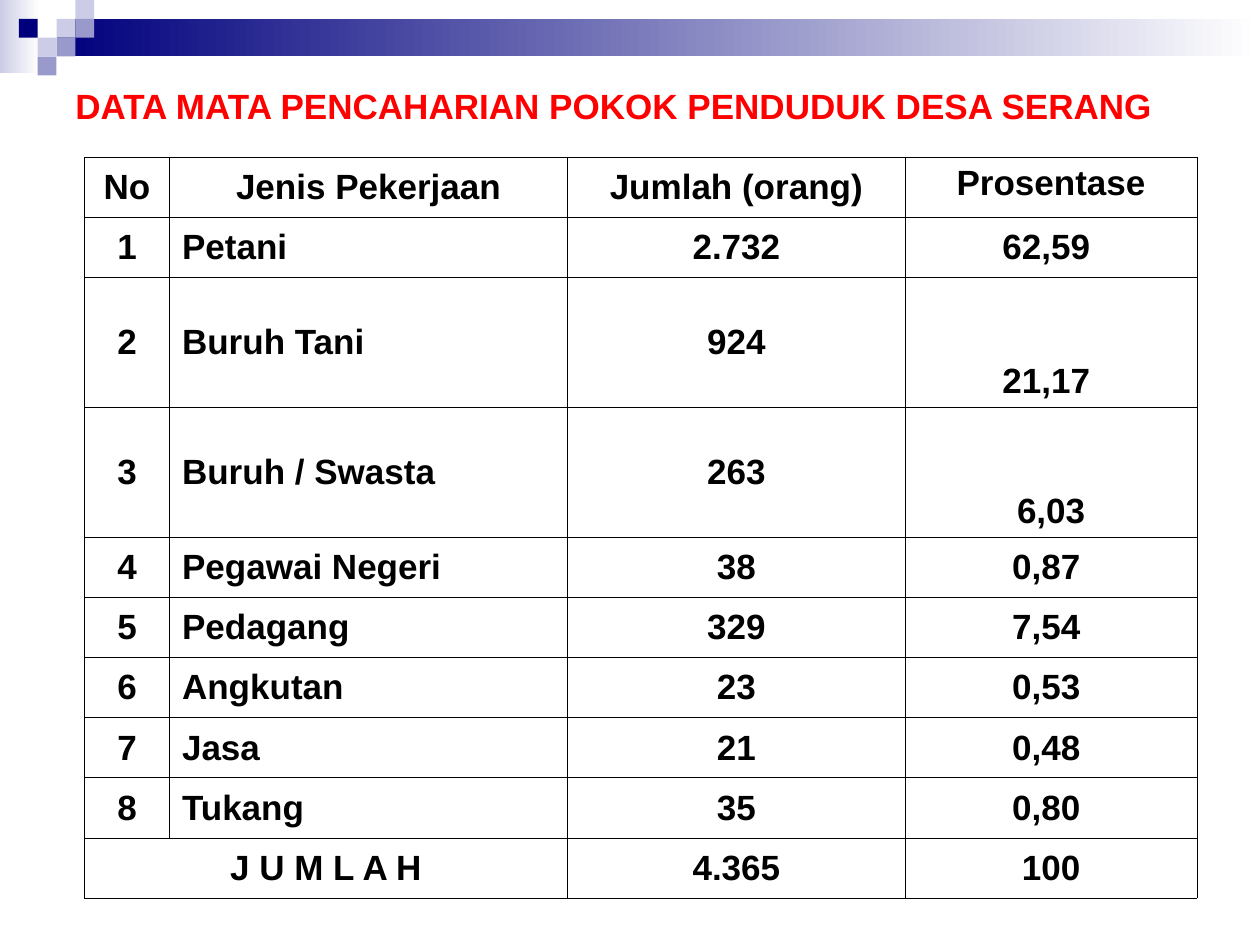
import pptx
import pptx.dml.color
import pptx.enum.shapes
import pptx.enum.text
import pptx.oxml
import pptx.oxml.ns
import pptx.util

Cm = pptx.util.Cm
Pt = pptx.util.Pt
Align = pptx.enum.text.PP_ALIGN
Anchor = pptx.enum.text.MSO_ANCHOR


class Theme:
    navy = "00007D"
    mid = "9999CC"
    pale = "CCCCE6"
    white = "FFFFFF"
    red = "FF0000"
    black = "000000"
    font = "Arial"
    size = 20
    rule = 0.45


class Deck:
    def __init__(self, theme, slide):
        self.theme = theme
        self.slide = slide

    def tint(self, code):
        return pptx.dml.color.RGBColor.from_string(code)

    def block(self, left, top, width, height, color, fade=None):
        shape = self.slide.shapes.add_shape(
            pptx.enum.shapes.MSO_SHAPE.RECTANGLE,
            Cm(left), Cm(top), Cm(width), Cm(height))
        shape.shadow.inherit = False
        shape.line.fill.background()
        if fade:
            shape.fill.gradient()
            shape.fill.gradient_angle = 0
            for stop, code in zip(shape.fill.gradient_stops, (color, fade)):
                stop.color.rgb = self.tint(code)
        else:
            shape.fill.solid()
            shape.fill.fore_color.rgb = self.tint(color)

    def label(self, frame, text, color, align):
        para = frame.paragraphs[0]
        para.text = text
        para.alignment = align
        para.font.name = self.theme.font
        para.font.size = Pt(self.theme.size)
        para.font.bold = True
        para.font.color.rgb = self.tint(color)

    def title(self, left, top, width, height, text):
        box = self.slide.shapes.add_textbox(
            Cm(left), Cm(top), Cm(width), Cm(height))
        box.text_frame.word_wrap = True
        box.text_frame.vertical_anchor = Anchor.MIDDLE
        self.label(box.text_frame, text, self.theme.red, Align.LEFT)

    def border(self, cell):
        props = cell._tc.get_or_add_tcPr()
        for index, side in enumerate(("lnL", "lnR", "lnT", "lnB")):
            props.insert(index, pptx.oxml.parse_xml(
                f'<a:{side} {pptx.oxml.ns.nsdecls("a")} w="{Pt(self.theme.rule)}">'
                f'<a:solidFill><a:srgbClr val="{self.theme.black}"/></a:solidFill>'
                f'</a:{side}>'))

    def cell(self, cell, text, align, anchor, inset):
        cell.fill.background()
        cell.margin_left = cell.margin_right = Cm(inset)
        cell.margin_top = cell.margin_bottom = Cm(0.13)
        cell.vertical_anchor = anchor
        self.label(cell.text_frame, text, self.theme.black, align)
        self.border(cell)

    def table(self, left, top, widths, heights, rows):
        table = self.slide.shapes.add_table(
            len(rows), len(widths), Cm(left), Cm(top),
            Cm(sum(widths)), Cm(sum(heights))).table
        table.first_row = table.horz_banding = False
        for col, width in zip(table.columns, widths):
            col.width = Cm(width)
        for row, height in zip(table.rows, heights):
            row.height = Cm(height)
        last = len(rows) - 1
        for r, row in enumerate(rows):
            for c, text in enumerate(row):
                head = r == 0
                name = c == 1 and 0 < r < last
                anchor = Anchor.MIDDLE
                if c == 3 and head:
                    anchor = Anchor.TOP
                elif c == 3 and heights[r] > min(heights):
                    anchor = Anchor.BOTTOM
                self.cell(table.cell(r, c), text,
                          Align.LEFT if name else Align.CENTER, anchor,
                          0.25 if head or c < 2 else 0.03)
        table.cell(last, 0).merge(table.cell(last, 1))


def main():
    show = pptx.Presentation()
    show.slide_width, show.slide_height = Cm(25.4), Cm(19.05)
    theme = Theme()
    deck = Deck(theme, show.slides.add_slide(show.slide_layouts[6]))

    deck.block(0, 0, 0.79, 1.48, theme.pale, theme.white)
    deck.block(1.14, 0.38, 24.26, 0.76, theme.navy, theme.white)
    step = 0.38
    tiles = [
        (3, 1, theme.pale), (4, 0, theme.pale), (4, 1, theme.mid),
        (2, 2, theme.pale), (1, 1, theme.navy), (3, 2, theme.mid),
        (2, 3, theme.mid),
    ]
    for col, row, color in tiles:
        deck.block(col * step, row * step, step, step, color)

    deck.title(1.27, 1.27, 22.86, 1.7,
               "DATA MATA PENCAHARIAN POKOK PENDUDUK DESA SERANG")

    rows = [
        ("No", "Jenis Pekerjaan", "Jumlah (orang)", "Prosentase"),
        ("1", "Petani", "2.732", "62,59 "),
        ("2", "Buruh Tani", "924", "21,17 "),
        ("3", "Buruh / Swasta", "263", " 6,03 "),
        ("4", "Pegawai Negeri", "38", "0,87 "),
        ("5", "Pedagang", "329", "7,54 "),
        ("6", "Angkutan", "23", "0,53 "),
        ("7", "Jasa", "21", "0,48 "),
        ("8", "Tukang", "35", "0,80 "),
        ("J U M L A H", "", "4.365", "100"),
    ]
    heights = [2.62 if r in (2, 3) else 1.21 for r in range(len(rows))]
    deck.table(1.7, 3.18, (1.72, 8.02, 6.81, 5.88), heights, rows)
    show.save("out.pptx")


if __name__ == "__main__":
    main()
